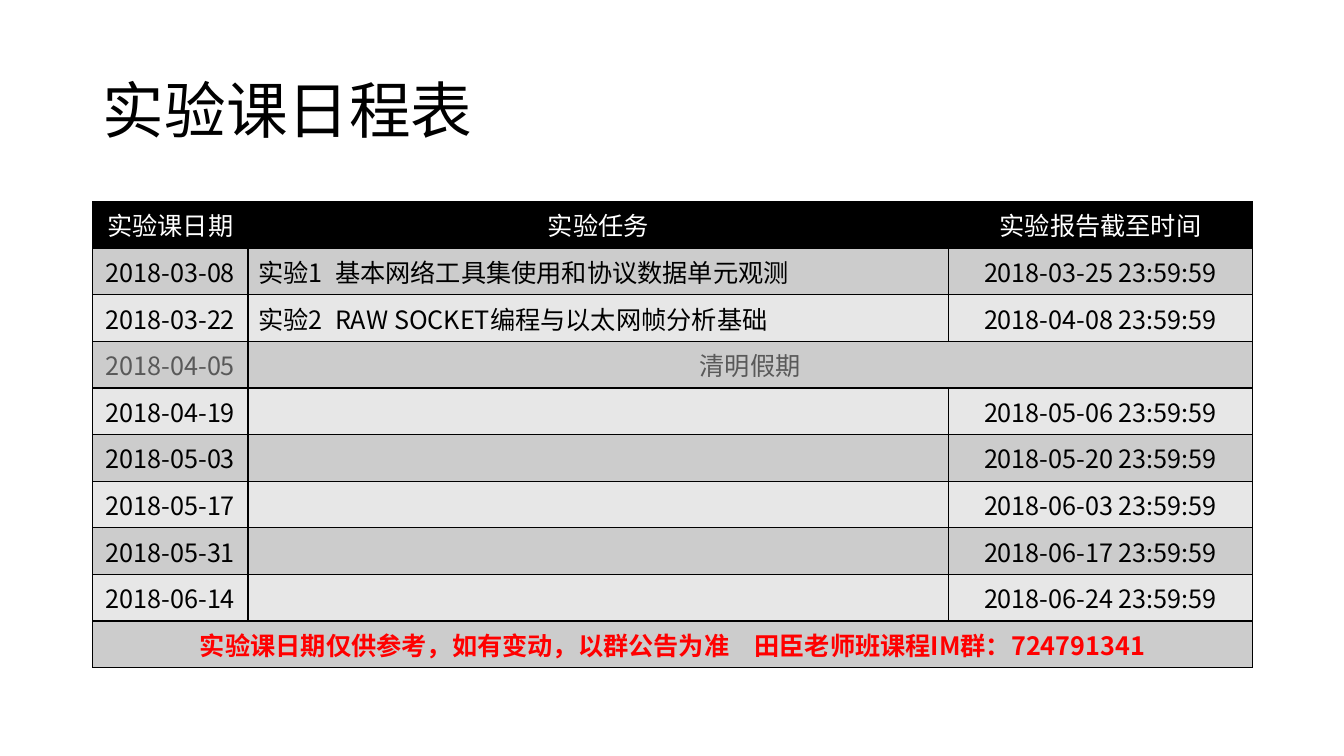
"""Build the lab course schedule slide."""
from lxml.etree import SubElement
from pptx import Presentation
from pptx.dml.color import RGBColor
from pptx.enum.text import MSO_ANCHOR as Anchor, PP_ALIGN as Align
from pptx.oxml.ns import qn
from pptx.util import Inches, Pt

FONT = "Noto Sans CJK SC"
COLORS = {"black": "000000", "white": "FFFFFF", "muted": "595959",
          "notice": "FF0000", "odd": "CCCCCC", "even": "E7E7E7"}

TITLE = "实验课日程表"
HEADER = ("实验课日期", "实验任务", "实验报告截至时间")
SCHEDULE = [
    ("2018-03-08", "实验1\u2002基本网络工具集使用和协议数据单元观测", "2018-03-25 23:59:59"),
    ("2018-03-22", "实验2\u2002RAW SOCKET编程与以太网帧分析基础", "2018-04-08 23:59:59"),
    ("2018-04-05", "清明假期", ""),
    ("2018-04-19", "", "2018-05-06 23:59:59"),
    ("2018-05-03", "", "2018-05-20 23:59:59"),
    ("2018-05-17", "", "2018-06-03 23:59:59"),
    ("2018-05-31", "", "2018-06-17 23:59:59"),
    ("2018-06-14", "", "2018-06-24 23:59:59"),
]
NOTICE = "实验课日期仅供参考，如有变动，以群公告为准\u3000田臣老师班课程IM群：724791341"
ROWS = [HEADER, *SCHEDULE, (NOTICE, "", "")]
HOLIDAY_ROW, NOTICE_ROW = 3, len(ROWS) - 1

LEFT, WIDTH = 0.92, 11.5
COLUMN_WIDTHS = (1.54, 6.95, 3.01)
ROW_HEIGHT = 0.41


def style_text(paragraph, size, color, align, bold=False):
    """Format a paragraph, covering Latin and East Asian glyphs."""
    paragraph.alignment = align
    font = paragraph.font
    font.name, font.size, font.bold = FONT, Pt(size), bold
    font.color.rgb = RGBColor.from_string(COLORS[color])
    latin = paragraph._p.find(".//" + qn("a:latin"))
    east_asian = SubElement(latin.getparent(), qn("a:ea"), typeface=FONT)
    latin.addnext(east_asian)


def add_borders(cell):
    """Draw a one-point black line on every side of a cell."""
    properties = cell._tc.get_or_add_tcPr()
    for index, side in enumerate(("lnL", "lnR", "lnT", "lnB")):
        line = SubElement(properties, qn("a:" + side), w=str(Pt(1)))
        fill = SubElement(line, qn("a:solidFill"))
        SubElement(fill, qn("a:srgbClr"), val=COLORS["black"])
        properties.insert(index, line)


def row_colors(row):
    """Return the fill and text colour names of a row."""
    if row == 0:
        return "black", "white"
    text = {HOLIDAY_ROW: "muted", NOTICE_ROW: "notice"}.get(row, "black")
    return ("odd" if row % 2 else "even"), text


presentation = Presentation()
presentation.slide_width, presentation.slide_height = Inches(13.33), Inches(7.5)
slide = presentation.slides.add_slide(presentation.slide_layouts[5])

title = slide.shapes.title
title.left, title.top = Inches(LEFT), Inches(0.4)
title.width, title.height = Inches(WIDTH), Inches(1.45)
title.text_frame.text = TITLE
title.text_frame.vertical_anchor = Anchor.MIDDLE
title_paragraph = title.text_frame.paragraphs[0]
title_paragraph.line_spacing = 0.9
style_text(title_paragraph, 44, "black", Align.LEFT)

table = slide.shapes.add_table(
    len(ROWS), len(HEADER), Inches(LEFT), Inches(2),
    Inches(WIDTH), Inches(ROW_HEIGHT * len(ROWS))).table
for column, width in zip(table.columns, COLUMN_WIDTHS):
    column.width = Inches(width)

for row, texts in enumerate(ROWS):
    table.rows[row].height = Inches(ROW_HEIGHT)
    fill_color, text_color = row_colors(row)
    for column, text in enumerate(texts):
        cell = table.cell(row, column)
        cell.text = text
        cell.vertical_anchor = Anchor.MIDDLE
        cell.fill.solid()
        cell.fill.fore_color.rgb = RGBColor.from_string(COLORS[fill_color])
        add_borders(cell)
        is_task = column == 1 and row not in (0, HOLIDAY_ROW)
        style_text(cell.text_frame.paragraphs[0], 18, text_color,
                   Align.LEFT if is_task else Align.CENTER, row == NOTICE_ROW)

table.cell(HOLIDAY_ROW, 1).merge(table.cell(HOLIDAY_ROW, 2))
table.cell(NOTICE_ROW, 0).merge(table.cell(NOTICE_ROW, 2))

presentation.save("out.pptx")
